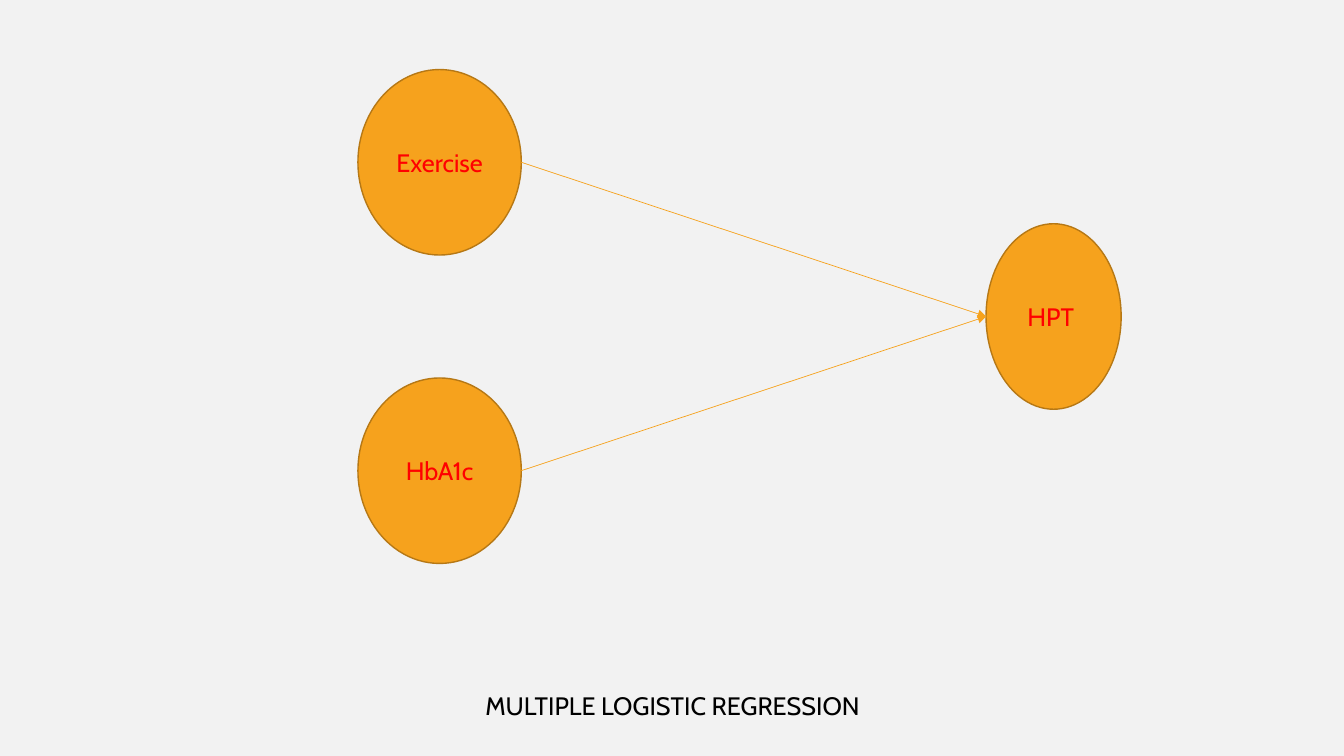
"""Build a slide that shows two factors leading to one outcome."""
import pptx
import pptx.util
import pptx.dml.color
import pptx.enum.shapes
import pptx.enum.text
import pptx.oxml.ns
import lxml.etree

CAUSES = ["Exercise", "HbA1c"]
RESULT = "HPT "
TITLE = "MULTIPLE LOGISTIC REGRESSION"

THEME = {
    "font": "Cabin", "size": 18, "rim": 1, "arrow": 0.5,
    "back": "F2F2F2", "node": "F6A21D", "edge": "B67815",
    "label": "FF0000", "title": "000000",
}

Inches, Pt = pptx.util.Inches, pptx.util.Pt
LEFT, TOP, STEP = 3.55, 0.69, 3.06
WIDE, HIGH = 1.62, 1.84
END_X, END_WIDE = 9.78, 1.34


def color(name):
    return pptx.dml.color.RGBColor.from_string(THEME[name])


def write(frame, text, tone):
    para = frame.paragraphs[0]
    para.text = text
    para.alignment = pptx.enum.text.PP_ALIGN.CENTER
    para.font.name = THEME["font"]
    para.font.size = Pt(THEME["size"])
    para.font.color.rgb = color(tone)


def add_node(slide, text, x, y, width):
    node = slide.shapes.add_shape(
        pptx.enum.shapes.MSO_SHAPE.OVAL,
        Inches(x), Inches(y), Inches(width), Inches(HIGH))
    node.shadow.inherit = False
    node.fill.solid()
    node.fill.fore_color.rgb = color("node")
    node.line.color.rgb = color("edge")
    node.line.width = Pt(THEME["rim"])
    node.text_frame.vertical_anchor = pptx.enum.text.MSO_ANCHOR.MIDDLE
    write(node.text_frame, text, "label")
    return node


def add_arrow(slide, start, end):
    link = slide.shapes.add_connector(
        pptx.enum.shapes.MSO_CONNECTOR.STRAIGHT,
        start.left + start.width, start.top + start.height // 2,
        end.left, end.top + end.height // 2)
    link.line.color.rgb = color("node")
    link.line.width = Pt(THEME["arrow"])
    qn = pptx.oxml.ns.qn
    props = link._element.spPr
    lxml.etree.SubElement(
        props.find(qn("a:ln")), qn("a:tailEnd"), type="triangle")
    lxml.etree.SubElement(props, qn("a:effectLst"))


deck = pptx.Presentation()
deck.slide_width, deck.slide_height = Inches(13.33), Inches(7.5)
slide = deck.slides.add_slide(deck.slide_layouts[6])
slide.background.fill.solid()
slide.background.fill.fore_color.rgb = color("back")

middle = TOP + STEP * (len(CAUSES) - 1) / 2
result = add_node(slide, RESULT, END_X, middle, END_WIDE)
for row, text in enumerate(CAUSES):
    cause = add_node(slide, text, LEFT, TOP + row * STEP, WIDE)
    add_arrow(slide, cause, result)

title = slide.shapes.add_textbox(
    Inches(4.66), Inches(6.8), Inches(4.02), Inches(0.4))
title.text_frame.word_wrap = False
title.text_frame.auto_size = pptx.enum.text.MSO_AUTO_SIZE.SHAPE_TO_FIT_TEXT
write(title.text_frame, TITLE, "title")

deck.save("out.pptx")
